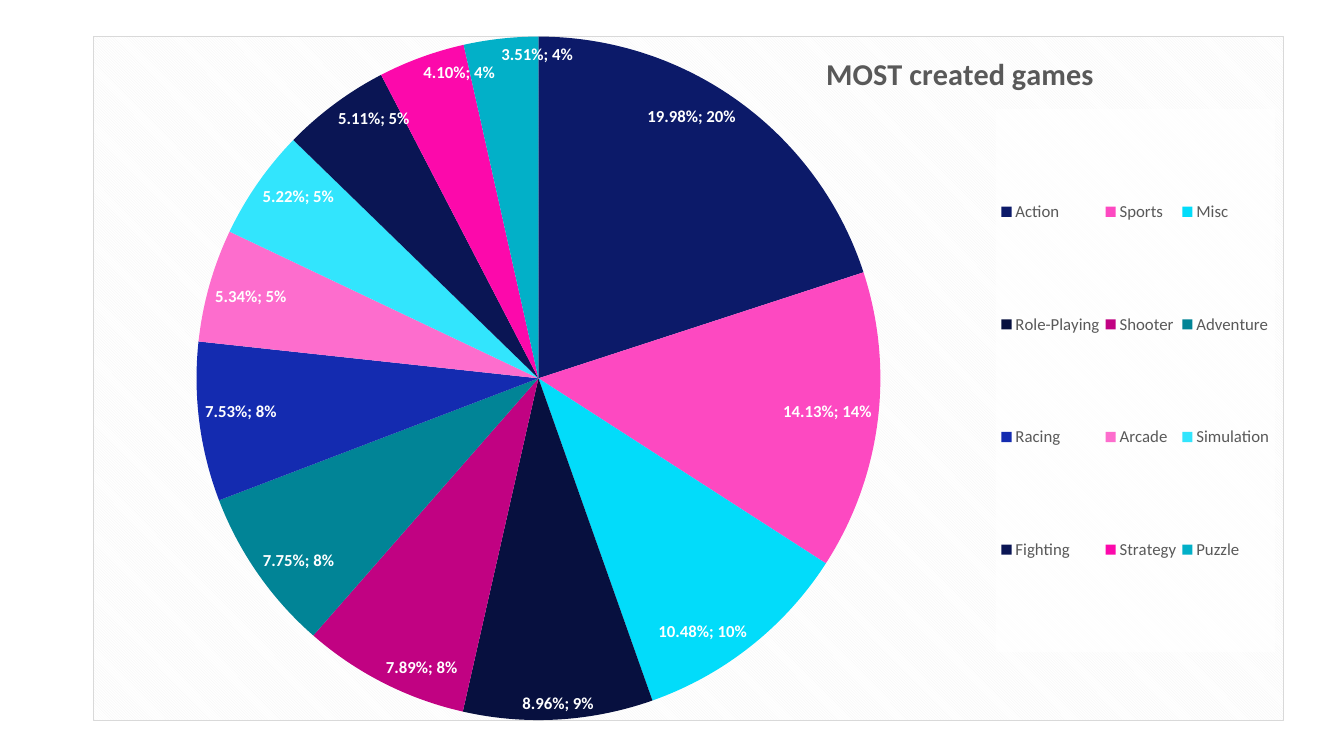
from lxml.etree import fromstring
from pptx import Presentation
from pptx.chart.data import CategoryChartData
from pptx.dml.color import RGBColor
from pptx.enum.chart import XL_CHART_TYPE, XL_LABEL_POSITION, XL_LEGEND_POSITION
from pptx.oxml.ns import nsdecls, qn
from pptx.util import Cm, Pt

WHITE = RGBColor(0xFF, 0xFF, 0xFF)
BLACK = RGBColor(0, 0, 0)
GREY = RGBColor(0x59, 0x59, 0x59)
STRIPE = RGBColor(0xF2, 0xF2, 0xF2)
EDGE = RGBColor(0xD9, 0xD9, 0xD9)

# Genre, percent of games, slice colour
GAMES = [
    ("Action", 19.98, RGBColor(0x0C, 0x1A, 0x69)),
    ("Sports", 14.13, RGBColor(0xFD, 0x49, 0xC1)),
    ("Misc", 10.48, RGBColor(0x02, 0xDC, 0xFA)),
    ("Role-Playing", 8.96, RGBColor(0x07, 0x10, 0x3F)),
    ("Shooter", 7.89, RGBColor(0xC1, 0x02, 0x82)),
    ("Adventure", 7.75, RGBColor(0x01, 0x84, 0x96)),
    ("Racing", 7.53, RGBColor(0x14, 0x2B, 0xB0)),
    ("Arcade", 5.34, RGBColor(0xFD, 0x6D, 0xCD)),
    ("Simulation", 5.22, RGBColor(0x32, 0xE5, 0xFD)),
    ("Fighting", 5.11, RGBColor(0x0A, 0x15, 0x54)),
    ("Strategy", 4.10, RGBColor(0xFC, 0x09, 0xAB)),
    ("Puzzle", 3.51, RGBColor(0x02, 0xB0, 0xC8)),
]


def style(item, **values):
    for name, value in values.items():
        setattr(item, name, value)


def write(font, size, color, bold=False):
    style(font, name="Calibri", size=Pt(size), bold=bold)
    font.color.rgb = color


def node(tag, body):
    return fromstring(f'<c:{tag} {nsdecls("c", "a")}>{body}</c:{tag}>')


def place(part, spot, after=None, inner=False):
    """Give a chart part a fixed place, in percent of the chart."""
    for old in part.findall(qn("c:layout")):
        part.remove(old)
    body = '<c:layoutTarget val="inner"/>' if inner else ""
    body += '<c:xMode val="edge"/><c:yMode val="edge"/>'
    for key, share in zip("xywh", spot):
        body += f'<c:{key} val="{share / 100:.4f}"/>'
    layout = node("layout", f"<c:manualLayout>{body}</c:manualLayout>")
    if after:
        part.find(qn(after)).addnext(layout)
    else:
        part.insert(0, layout)


def add_pie(slide):
    data = CategoryChartData(number_format="0.00%")
    data.categories = [game[0] for game in GAMES]
    data.add_series("Series 1", [round(game[1] / 100, 4) for game in GAMES])
    frame = slide.shapes.add_chart(
        XL_CHART_TYPE.PIE, Cm(2.34), Cm(0.91), Cm(30.02), Cm(17.25), data)
    chart = frame.chart
    write(chart.font, 10, BLACK)
    plot = chart.plots[0]
    plot.vary_by_categories = True
    for index, game in enumerate(GAMES):
        look = plot.series[0].points[index].format
        look.fill.solid()
        look.fill.fore_color.rgb = game[2]
        look.line.fill.background()
    area = chart.element.find(".//" + qn("c:plotArea"))
    place(area, (6.5, 0, 61.8, 100), inner=True)
    return chart


def add_labels(chart):
    # The value keeps the data's number format, the share shows whole percents
    labels = chart.plots[0].series[0].data_labels
    style(labels, show_value=True, show_percentage=True,
          position=XL_LABEL_POSITION.INSIDE_END)
    write(labels.font, 12, WHITE, True)
    for part in chart.element.iter(qn("c:dLbls")):
        last = part.find(qn("c:showBubbleSize"))
        if last is None:
            last = node("showBubbleSize", "")
            last.set("val", "0")
            part.find(qn("c:showPercent")).addnext(last)
        last.addnext(node("separator", "; "))


def add_title(chart):
    chart.has_title = True
    title = chart.chart_title
    title.include_in_layout = False
    line = title.text_frame.paragraphs[0]
    line.text = "MOST created games"
    write(line.runs[0].font, 21.6, GREY, True)
    place(chart.element.find(".//" + qn("c:title")), (61.1, 1.5), "c:tx")


def add_legend(chart):
    chart.has_legend = True
    legend = chart.legend
    style(legend, position=XL_LEGEND_POSITION.RIGHT, include_in_layout=False)
    write(legend.font, 12, GREY)
    part = chart.element.find(".//" + qn("c:legend"))
    place(part, (75.8, 10.6, 23.5, 79.5), "c:legendPos")
    part.find(qn("c:overlay")).addnext(node(
        "spPr", f'<a:solidFill><a:srgbClr val="{WHITE}"><a:alpha val="78000"/>'
        '</a:srgbClr></a:solidFill><a:ln><a:noFill/></a:ln>'))


def add_back(chart):
    chart.element.find(qn("c:chart")).addnext(node(
        "spPr", '<a:pattFill prst="dkDnDiag">'
        f'<a:fgClr><a:srgbClr val="{STRIPE}"/></a:fgClr>'
        f'<a:bgClr><a:srgbClr val="{WHITE}"/></a:bgClr></a:pattFill>'
        f'<a:ln w="{Pt(0.75)}"><a:solidFill><a:srgbClr val="{EDGE}"/>'
        '</a:solidFill></a:ln>'))


def main():
    deck = Presentation()
    style(deck, slide_width=Cm(33.87), slide_height=Cm(19.05))
    slide = deck.slides.add_slide(deck.slide_layouts[6])

    # Pie with its labels
    chart = add_pie(slide)
    add_labels(chart)

    # Heading, key and striped backdrop
    add_title(chart)
    add_legend(chart)
    add_back(chart)

    deck.save("out.pptx")


if __name__ == "__main__":
    main()
